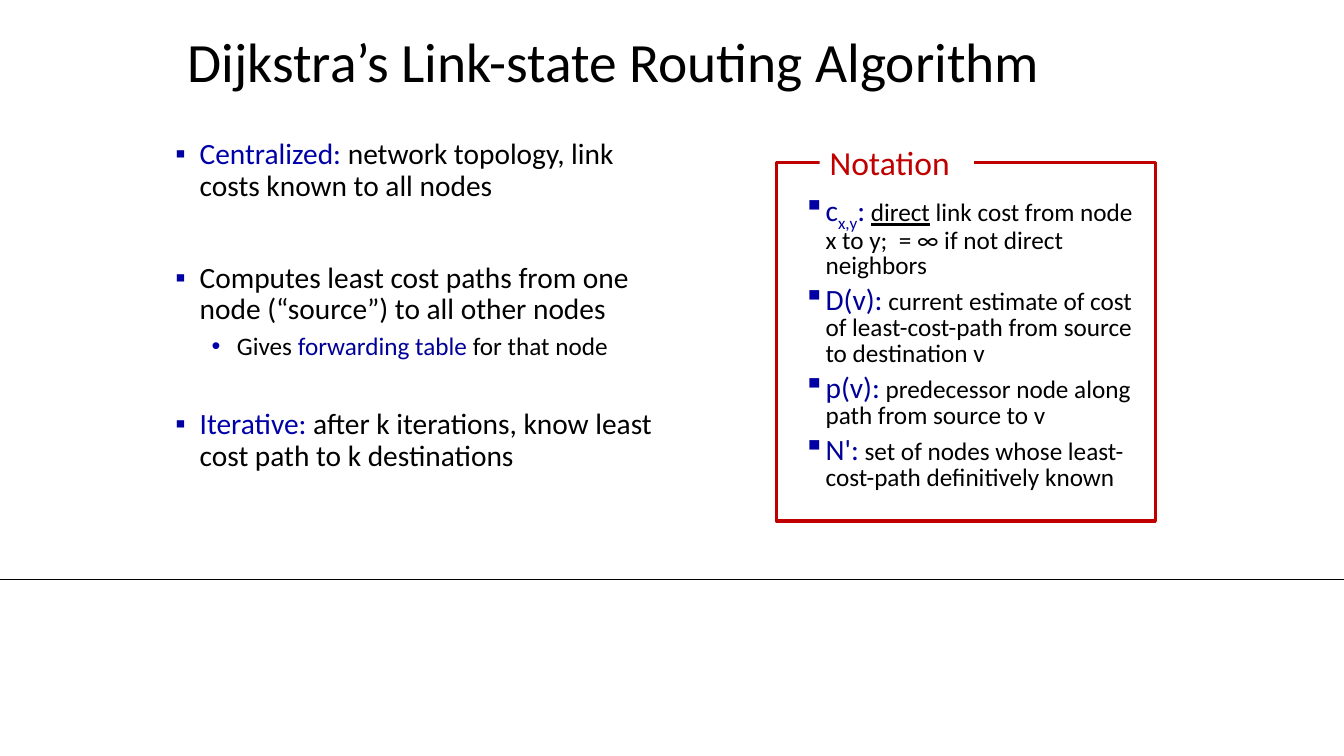
"""Build the slide on Dijkstra's link-state routing algorithm."""
from lxml import etree
from pptx import Presentation
from pptx.dml.color import RGBColor
from pptx.enum import shapes, text
from pptx.oxml import ns
from pptx.util import Inches, Pt

FONT = "Calibri"
COLORS = {"black": "000000", "white": "FFFFFF", "term": "0000A8", "blue": "000099",
          "bullet": "0000A3", "red": "C00000"}

TITLE = "Dijkstra’s Link-state Routing Algorithm"
LABEL = "Notation"

LEVELS = {
    "main": dict(char="▪", bullet="bullet", left=0.39, hang=0.24, spacing=0.9),
    "sub": dict(char="•", bullet="term", left=0.76, hang=0.25, spacing=0.9),
    "note": dict(char="▪", bullet="bullet", left=0.33, hang=0.22, spacing=0.85),
}

# level, space before, runs of (text, size, colour, optional style)
POINTS = [
    ("main", 10, [("Centralized: ", 21, "term"),
                  ("network topology, link costs known to all nodes", 21, "black")]),
    ("main", 43, [("Computes least cost paths from one node (“source”) to all other nodes",
                   21, "black")]),
    ("sub", 5, [("Gives ", 18, "black"), ("forwarding table", 18, "blue"),
                (" for that node", 18, "black")]),
    ("main", 35, [("Iterative: ", 21, "term"),
                  ("after k iterations, know least cost path to k destinations", 21, "black")]),
]
NOTES = [
    ("note", 4.5, [("c", 21, "blue"), ("x,y", 21, "blue", "subscript"), (":", 21, "blue"),
                   (" ", 18, "black"), ("direct", 18, "black", "underline"),
                   (" link cost from node x to y;  = ∞ if not direct neighbors", 18, "black")]),
] + [
    ("note", 4.5, [(term, 21, "blue"), (meaning, 18, "black")])
    for term, meaning in [
        ("D(v):", " current estimate of cost of least-cost-path from source to destination v"),
        ("p(v):", " predecessor node along path from source to v"),
        ("N':", " set of nodes whose least-cost-path definitively known"),
    ]
]


def rgb(name):
    return RGBColor.from_string(COLORS[name])


def place(sp, left, top, width, height):
    sp.left, sp.top, sp.width, sp.height = map(Inches, (left, top, width, height))


def add_run(p, words, size, color, style=None):
    r = p.add_run()
    r.text = words
    r.font.name, r.font.size = FONT, Pt(size)
    r.font.color.rgb = rgb(color)
    if style == "underline":
        r.font.underline = True
    elif style == "subscript":
        r.font._element.set("baseline", "-25000")


def set_bullet(p, char, bullet, left, hang, spacing):
    p.line_spacing = spacing
    pPr = p._p.get_or_add_pPr()
    pPr.set("marL", str(Inches(left)))
    pPr.set("indent", str(-Inches(hang)))
    clr = etree.SubElement(pPr, ns.qn("a:buClr"))
    etree.SubElement(clr, ns.qn("a:srgbClr")).set("val", COLORS[bullet])
    etree.SubElement(pPr, ns.qn("a:buChar")).set("char", char)


def fill_list(tf, items):
    tf.word_wrap = True
    tf.auto_size = text.MSO_AUTO_SIZE.NONE
    for i, (level, before, runs) in enumerate(items):
        p = tf.add_paragraph() if i else tf.paragraphs[0]
        p.level = 1 if level == "sub" else 0
        p.space_before = Pt(before)
        set_bullet(p, **LEVELS[level])
        for run in runs:
            add_run(p, *run)


def main():
    prs = Presentation()
    prs.slide_width, prs.slide_height = Inches(13.33), Inches(7.5)
    s = prs.slides.add_slide(prs.slide_layouts[1])

    title, body = s.shapes.title, s.placeholders[1]
    place(title, 1.76, 0.28, 9.86, 0.73)
    tf = title.text_frame
    tf.auto_size = text.MSO_AUTO_SIZE.NONE
    tf.vertical_anchor = text.MSO_ANCHOR.MIDDLE
    p = tf.paragraphs[0]
    p.alignment, p.line_spacing = text.PP_ALIGN.LEFT, 0.9
    add_run(p, TITLE, 39.6, "black")

    place(body, 1.52, 1.34, 5.04, 5.27)
    tf = body.text_frame
    tf.margin_left = tf.margin_right = Inches(0.07)
    tf.margin_top = tf.margin_bottom = Inches(0.04)
    fill_list(tf, POINTS)

    rule = s.shapes.add_connector(shapes.MSO_CONNECTOR.STRAIGHT, 0, Inches(5.75),
                                  prs.slide_width, Inches(5.75))
    rule.line.color.rgb, rule.line.width = rgb("black"), Pt(0.5)
    etree.SubElement(rule._element.spPr, ns.qn("a:effectLst"))

    notes = s.shapes.add_textbox(*map(Inches, (7.76, 1.88, 3.65, 3.48)))
    fill_list(notes.text_frame, NOTES)

    frame = s.shapes.add_shape(shapes.MSO_SHAPE.RECTANGLE,
                               *map(Inches, (7.7, 1.61, 3.76, 3.56)))
    frame.shadow.inherit = False
    frame.fill.background()
    frame.line.color.rgb, frame.line.width = rgb("red"), Pt(2.25)

    label = s.shapes.add_textbox(*map(Inches, (8.13, 1.36, 1.53, 0.5)))
    label.fill.solid()
    label.fill.fore_color.rgb = rgb("white")
    label.text_frame.word_wrap = True
    add_run(label.text_frame.paragraphs[0], LABEL, 24, "red")

    prs.save("out.pptx")


if __name__ == "__main__":
    main()
